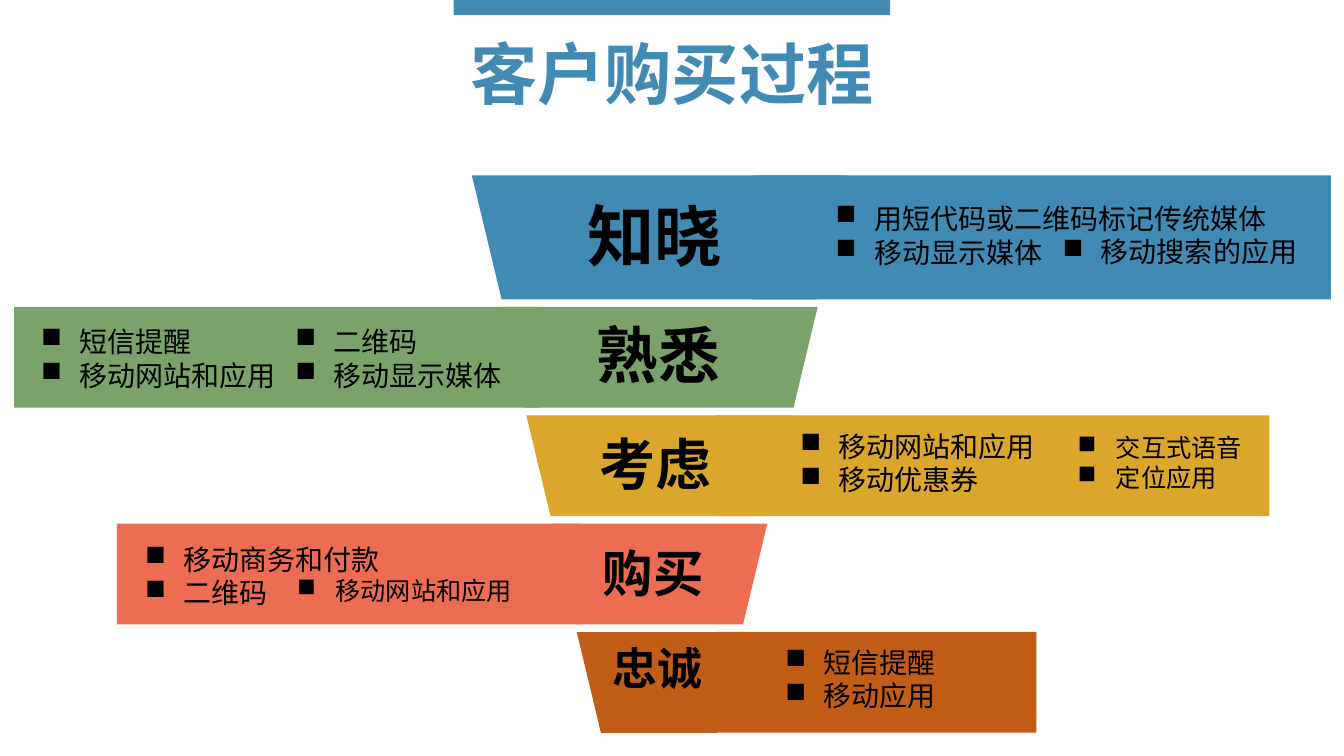
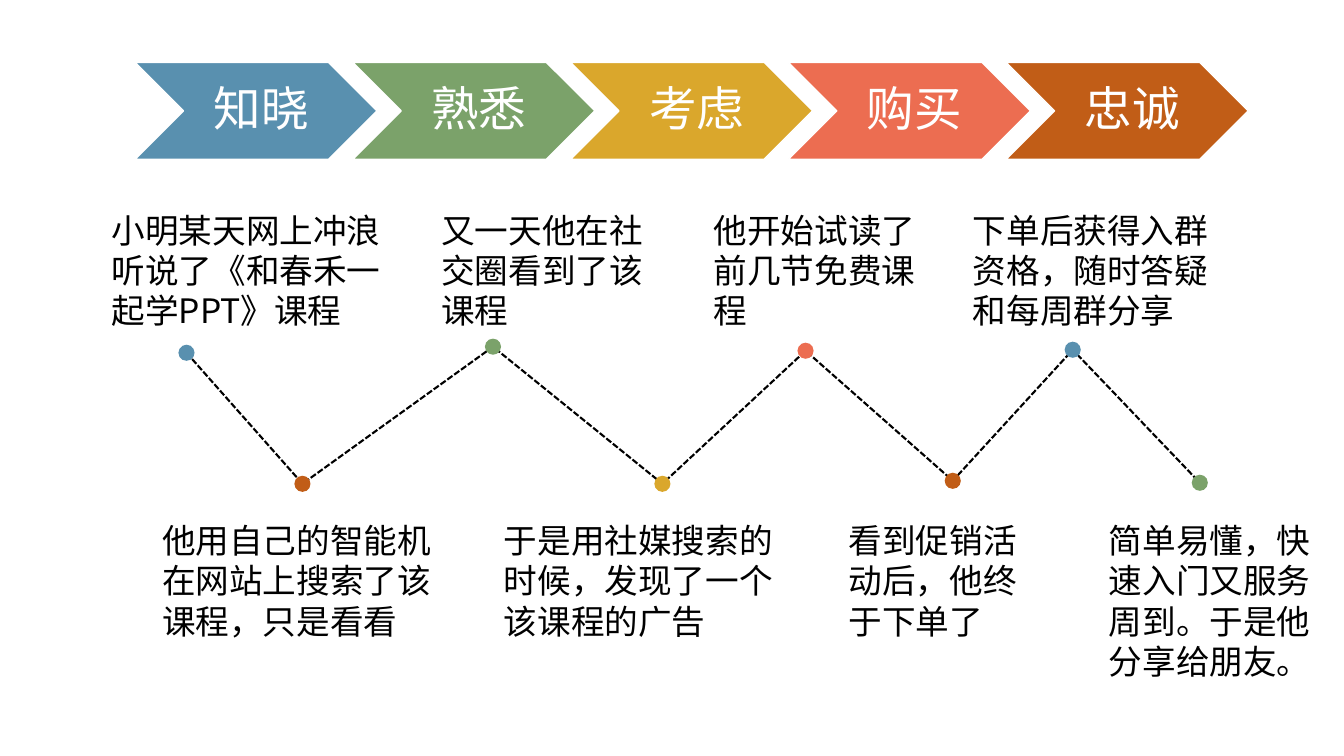
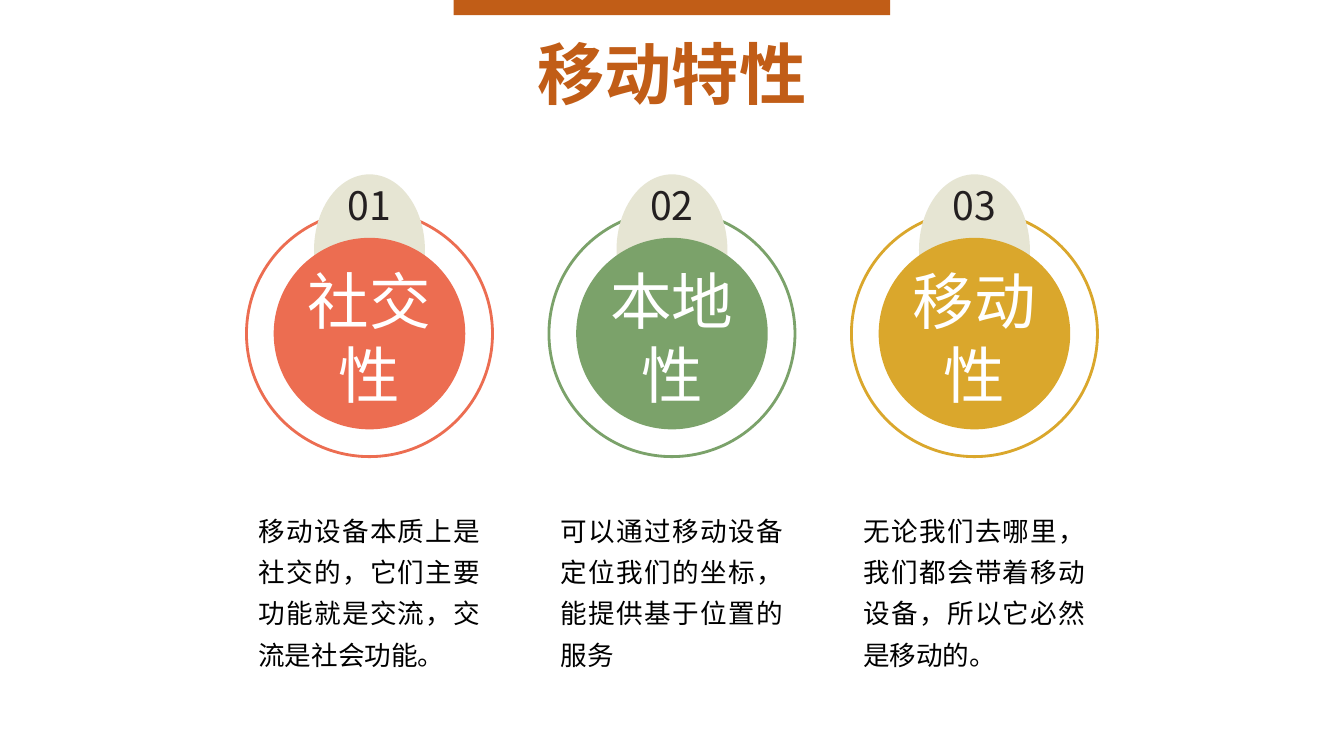
"""Build three slides on the customer purchase journey and mobile traits."""
from lxml import etree
from pptx import Presentation
from pptx.dml.color import RGBColor
from pptx.enum.dml import MSO_LINE
from pptx.enum.shapes import MSO_SHAPE
from pptx.enum.text import MSO_ANCHOR, PP_ALIGN
from pptx.oxml.ns import qn
from pptx.util import Emu, Inches, Pt

RECTANGLE, OVAL = MSO_SHAPE.RECTANGLE, MSO_SHAPE.OVAL
TRAPEZOID, CHEVRON = MSO_SHAPE.TRAPEZOID, MSO_SHAPE.CHEVRON
LEFT, CENTER, JUSTIFY = PP_ALIGN.LEFT, PP_ALIGN.CENTER, PP_ALIGN.JUSTIFY
MIDDLE, DASH = MSO_ANCHOR.MIDDLE, MSO_LINE.SQUARE_DOT

BLUE = RGBColor(0x41, 0x8A, 0xB3)
SOFT_BLUE = RGBColor(0x59, 0x90, 0xAF)
GREEN = RGBColor(0x7B, 0xA2, 0x6A)
GOLD = RGBColor(0xDA, 0xA7, 0x2C)
CORAL = RGBColor(0xEC, 0x6D, 0x51)
RUST = RGBColor(0xC1, 0x5D, 0x17)
SAND = RGBColor(0xE6, 0xE5, 0xD3)
INK = RGBColor(0x23, 0x1F, 0x20)
BLACK = RGBColor(0, 0, 0)
WHITE = RGBColor(0xFF, 0xFF, 0xFF)

FONT = "Noto Sans CJK SC"
WIDTH, HEIGHT = 13.33, 7.5
BULLET_INDENT = 0.38

FUNNEL_TOP, FIRST_HEIGHT, BAND_HEIGHT, BAND_GAP = 1.74, 1.23, 1.0, 0.075
FUNNEL = [
    {"name": "知晓", "color": BLUE, "funnel": (4.68, 3.72), "bar": (7.47, 5.73),
     "label": (5.73, 1.88, 48),
     "lists": [(8.19, 1.95, 4.62, 20, ["用短代码或二维码标记传统媒体", "移动显示媒体"]),
               (10.44, 2.28, 2.7, 20, ["移动搜索的应用"])]},
    {"name": "熟悉", "color": GREEN, "funnel": (4.96, 3.15), "bar": (0.14, 5.21),
     "label": (5.82, 3.1, 44),
     "lists": [(0.31, 3.17, 2.71, 20, ["短信提醒", "移动网站和应用"]),
               (2.83, 3.17, 2.41, 20, ["二维码", "移动显示媒体"])]},
    {"name": "考虑", "color": GOLD, "funnel": (5.22, 2.63), "bar": (7.1, 5.49),
     "label": (5.85, 4.21, 40),
     "lists": [(7.84, 4.21, 2.63, 20, ["移动网站和应用", "移动优惠券"]),
               (10.59, 4.24, 1.9, 18, ["交互式语音", "定位应用"])]},
    {"name": "购买", "color": CORAL, "funnel": (5.47, 2.14), "bar": (1.16, 4.59),
     "label": (5.88, 5.33, 36),
     "lists": [(1.34, 5.33, 4.27, 20, ["移动商务和付款", "二维码"]),
               (2.85, 5.66, 2.5, 18, ["移动网站和应用"])]},
    {"name": "忠诚", "color": RUST, "funnel": (5.72, 1.63), "bar": (7.1, 3.18),
     "label": (5.98, 6.31, 32),
     "lists": [(7.69, 6.35, 2, 20, ["短信提醒", "移动应用"])]},
]

STORY_TOPS = (2.03, 5.11)
STORY = [
    ("小明某天网上冲浪听说了《和春禾一起学PPT》课程", 1.01, 2.94, (1.85, 3.5), SOFT_BLUE),
    ("他用自己的智能机在网站上搜索了该课程，只是看看", 1.51, 3.13, (3, 4.8), RUST),
    ("又一天他在社交圈看到了该课程", 4.28, 2.37, (4.89, 3.44), GREEN),
    ("于是用社媒搜索的时候，发现了一个该课程的广告", 4.9, 3, (6.57, 4.8), GOLD),
    ("他开始试读了前几节免费课程", 6.98, 2.24, (7.99, 3.48), CORAL),
    ("看到促销活动后，他终于下单了", 8.32, 2.16, (9.45, 4.77), RUST),
    ("下单后获得入群资格，随时答疑和每周群分享", 9.55, 2.65, (10.64, 3.47), SOFT_BLUE),
    ("简单易懂，快速入门又服务周到。于是他分享给朋友。", 10.9, 2.43, (11.9, 4.79), GREEN),
]

TRAITS = [
    ("社交性", "移动设备本质上是社交的，它们主要功能就是交流，交流是社会功能。", CORAL),
    ("本地性", "可以通过移动设备定位我们的坐标，能提供基于位置的服务", GREEN),
    ("移动性", "无论我们去哪里，我们都会带着移动设备，所以它必然是移动的。", GOLD),
]


def write(frame, lines, size, color, bold=False, align=LEFT, spacing=None, bullet=False):
    """Fill a text frame with equally styled paragraphs."""
    frame.word_wrap = True
    for index, line in enumerate(lines):
        paragraph = frame.paragraphs[0] if index == 0 else frame.add_paragraph()
        paragraph.text = line
        paragraph.alignment = align
        if spacing:
            paragraph.line_spacing = spacing
        properties = paragraph._p.get_or_add_pPr()
        if bullet:
            properties.set("marL", str(Inches(BULLET_INDENT)))
            properties.set("indent", str(-Inches(BULLET_INDENT)))
            etree.SubElement(properties, qn("a:buChar")).set("char", "■")
        font = paragraph.font
        font.size, font.bold, font.name = Pt(size), bold, FONT
        font.color.rgb = color
        defaults = properties.find(qn("a:defRPr"))
        etree.SubElement(defaults, qn("a:ea")).set("typeface", FONT)


def add_text(slide, left, top, width, height, lines, size, color=BLACK, **style):
    """Add a wrapped text box."""
    box = slide.shapes.add_textbox(Inches(left), Inches(top), Inches(width), Inches(height))
    write(box.text_frame, lines, size, color, **style)


def add_shape(slide, kind, left, top, width, height, fill=None, line=None, line_width=1):
    """Add a flat preset shape."""
    shape = slide.shapes.add_shape(kind, Inches(left), Inches(top), Inches(width), Inches(height))
    shape.shadow.inherit = False
    if fill is None:
        shape.fill.background()
    else:
        shape.fill.solid()
        shape.fill.fore_color.rgb = fill
    if line is None:
        shape.line.fill.background()
    else:
        shape.line.color.rgb = line
        shape.line.width = Pt(line_width)
    return shape


def add_circle(slide, x, y, diameter, **style):
    """Add a circle around a centre point."""
    add_shape(slide, OVAL, x - diameter / 2, y - diameter / 2, diameter, diameter, **style)


def add_title(slide, title, color):
    """Add the top band and the centred title."""
    band, box = 4.33, 5
    add_shape(slide, RECTANGLE, (WIDTH - band) / 2, 0, band, 0.15, fill=color)
    add_text(slide, (WIDTH - box) / 2, 0.27, box, 0.91, [title], 48, color, bold=True, align=CENTER)


def build_funnel(slide):
    """Draw the purchase funnel with alternating side bars."""
    add_title(slide, "客户购买过程", BLUE)
    top = FUNNEL_TOP
    for index, stage in enumerate(FUNNEL):
        height = BAND_HEIGHT if index else FIRST_HEIGHT
        for kind, (left, width) in ((TRAPEZOID, stage["funnel"]), (RECTANGLE, stage["bar"])):
            shape = add_shape(slide, kind, left, top, width, height, fill=stage["color"])
            if kind == TRAPEZOID:
                shape.rotation = 180
                shape.adjustments[0] = 0.24
        left, label_top, size = stage["label"]
        add_text(slide, left, label_top, 1.61, 0.8, [stage["name"]], size, bold=True)
        for left, list_top, width, size, items in stage["lists"]:
            add_text(slide, left, list_top, width, 0.77, items, size, bullet=True)
        top += height + BAND_GAP


def build_story(slide):
    """Draw the stage chevrons and the zigzag story."""
    for index, stage in enumerate(FUNNEL):
        color = stage["color"] if index else SOFT_BLUE
        chevron = add_shape(slide, CHEVRON, 1.34 + 2.16 * index, 0.62, 2.4, 0.96,
                            fill=color, line=WHITE)
        frame = chevron.text_frame
        frame.margin_left, frame.margin_right = Inches(0.1), 0
        frame.vertical_anchor = MIDDLE
        write(frame, [stage["name"]], 34, WHITE, align=CENTER, spacing=0.9)

    points = [(Inches(x), Inches(y)) for _, _, _, (x, y), _ in STORY]
    builder = slide.shapes.build_freeform(*points[0])
    builder.add_line_segments(points[1:], close=False)
    zigzag = builder.convert_to_shape(Emu(0), Emu(0))
    zigzag.shadow.inherit = False
    zigzag.fill.background()
    zigzag.line.color.rgb = BLACK
    zigzag.line.width = Pt(1.5)
    zigzag.line.dash_style = DASH

    for index, (text, left, width, (x, y), color) in enumerate(STORY):
        add_text(slide, left, STORY_TOPS[index % 2], width, 1.31, [text], 24)
        add_circle(slide, x, y, 0.16, fill=color)


def build_traits(slide):
    """Draw three numbered badges with their descriptions."""
    add_title(slide, "移动特性", RUST)
    for index, (name, description, color) in enumerate(TRAITS):
        center = WIDTH / 2 + 3 * (index - 1)
        add_circle(slide, center, 3.31, 2.44, line=color, line_width=2)
        add_shape(slide, OVAL, center - 0.55, 1.73, 1.1, 1.5, fill=SAND)
        add_circle(slide, center, 3.31, 1.9, fill=color)
        add_text(slide, center - 0.35, 1.75, 0.7, 0.57, [f"{index + 1:02}"], 28, INK, align=CENTER)
        add_text(slide, center - 0.85, 2.56, 1.7, 1.58, [name], 44, WHITE, align=CENTER)
        add_text(slide, center - 1.2, 4.96, 2.4, 1.76, [description], 19,
                 align=JUSTIFY, spacing=1.3)


def main():
    """Create and save the presentation."""
    presentation = Presentation()
    presentation.slide_width, presentation.slide_height = Inches(WIDTH), Inches(HEIGHT)
    blank = presentation.slide_layouts[6]
    for build in (build_funnel, build_story, build_traits):
        build(presentation.slides.add_slide(blank))
    presentation.save("out.pptx")


if __name__ == "__main__":
    main()
